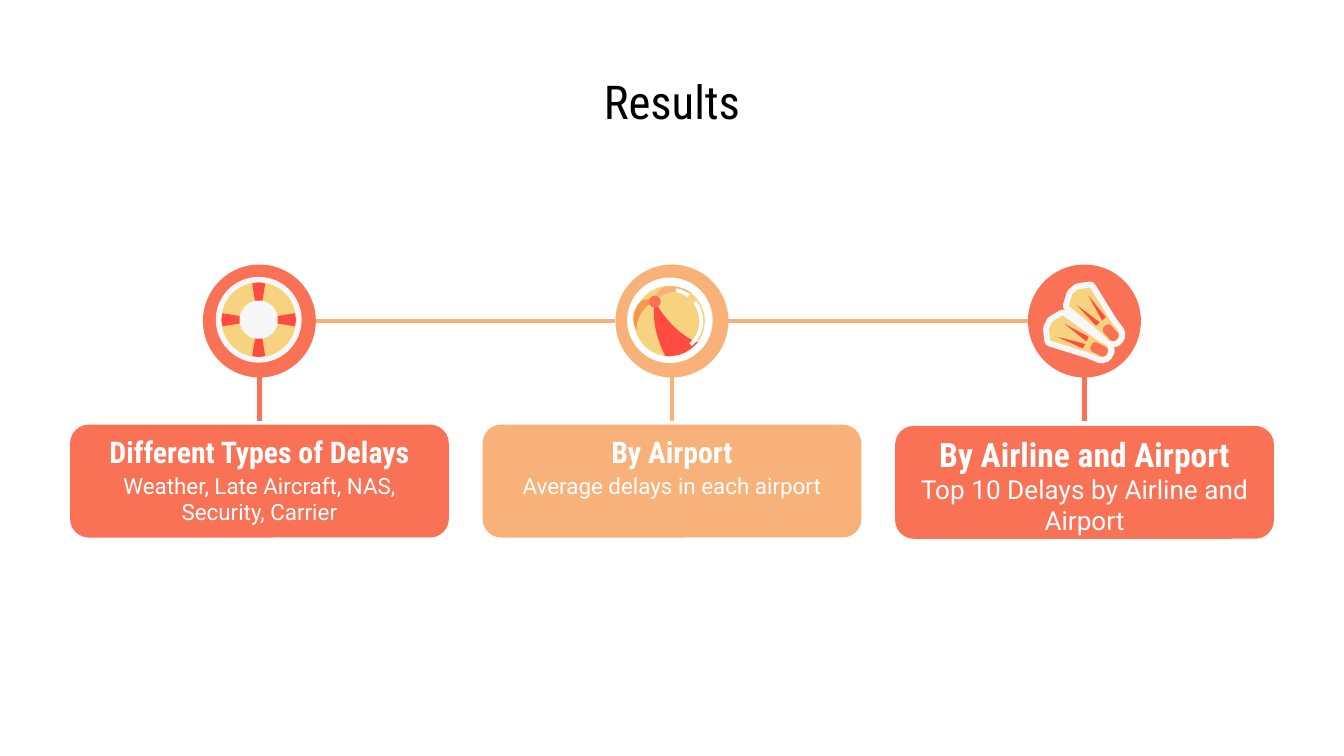
from math import cos, radians, sin
from typing import NamedTuple

from lxml.etree import SubElement
from pptx import Presentation
from pptx.dml.color import RGBColor
from pptx.enum.shapes import MSO_CONNECTOR as Connector, MSO_SHAPE as Preset
from pptx.enum.text import MSO_ANCHOR as Anchor, PP_ALIGN as Align
from pptx.oxml.ns import qn
from pptx.util import Pt

CORAL = RGBColor(0xFA, 0x72, 0x56)
PEACH = RGBColor(0xF8, 0xB1, 0x79)
RED = RGBColor(0xFF, 0x4B, 0x41)
ORANGE = RGBColor(0xF8, 0x96, 0x49)
YELLOW = RGBColor(0xF7, 0xD3, 0x80)
PALE = RGBColor(0xF7, 0xF7, 0xF8)
WHITE = RGBColor(0xFF, 0xFF, 0xFF)
BLACK = RGBColor(0, 0, 0)

HEAD_FONT, BODY_FONT = "Roboto Condensed", "Roboto"
FIRST_X, STEP_X, AXIS_Y, BADGE_R = 139, 221, 172, 30.25
CARD_W, CARD_H, CARD_TOP, TEXT_W, TEXT_TOP = 203, 60.5, 227.5, 193.7, 225.4
CURVE_STEPS = 8


class Topic(NamedTuple):
    heading: str
    detail: str
    color: RGBColor
    heading_size: float = 16
    detail_size: float = 12
    drop: float = 0


class Panel(NamedTuple):
    color: RGBColor
    curves: list[tuple]


TOPICS = [
    Topic("Different Types of Delays", "Weather, Late Aircraft, NAS, Security, Carrier", CORAL),
    Topic("By Airport", "Average delays in each airport", PEACH),
    Topic("By Airline and Airport", "Top 10 Delays by Airline and Airport", CORAL, 18, 14, 0.7),
]

RING_BAND = [(10.2, 2), (19.4, 3.5), (20, 0)]
FIN_BLADE = [(-32, 2), (-28.5, 7.5), (-7, 4), (0, 3.5), (2, 1.5)]
FIN_RIB = [(-26, 4), (-11, 3.5), (-11, 0.8)]
FIN_HEELS = [(16, 8.5, 49), (10.5, 16.5, 26.5)]
KNOB = (-9.2, -10.4)
BALL_PANELS = [
    Panel(ORANGE, [(-12, -12, -15, -12, -17, -10), (-21, -6, -22, 0, -19, 5),
                   (-19, -1, -16, -8, *KNOB)]),
    Panel(PEACH, [(-6, -15, 2, -17, 10.8, -15), (3, -20, -9, -21, *KNOB)]),
    Panel(RED, [(-11, -1, -8, 10, -3.6, 18.7), (4, 19.5, 10, 16, 13.7, 11.5),
                (0, 6.5, *KNOB, *KNOB)]),
]
GLINT_ANGLES = [(282, 307), (323, 48)]


def paint(shape, color: RGBColor, edge: float = 0) -> None:
    shape.shadow.inherit = False
    shape.fill.solid()
    shape.fill.fore_color.rgb = color
    if edge:
        shape.line.color.rgb = color
        shape.line.width = Pt(edge)
    else:
        shape.line.fill.background()


def add_preset(slide, preset, x: float, y: float, width: float, height: float):
    return slide.shapes.add_shape(preset, Pt(x - width / 2), Pt(y - height / 2),
                                  Pt(width), Pt(height))


def draw_disc(slide, x: float, y: float, radius: float, color: RGBColor) -> None:
    paint(add_preset(slide, Preset.OVAL, x, y, 2 * radius, 2 * radius), color)


def draw_line(slide, x1: float, y1: float, x2: float, y2: float, color: RGBColor) -> None:
    line = slide.shapes.add_connector(Connector.STRAIGHT, Pt(x1), Pt(y1), Pt(x2), Pt(y2))
    line.line.color.rgb = color
    line.line.width = Pt(2.25)
    SubElement(line._element.spPr, qn("a:effectLst"))


def draw_text(slide, text: str, x: float, top: float, width: float, height: float,
              size: float, font: str, color: RGBColor, bold: bool = False,
              anchor=Anchor.TOP) -> None:
    box = slide.shapes.add_textbox(Pt(x - width / 2), Pt(top), Pt(width), Pt(height))
    frame = box.text_frame
    frame.word_wrap = True
    frame.vertical_anchor = anchor
    frame.margin_left = frame.margin_right = frame.margin_top = frame.margin_bottom = Pt(7.2)
    frame.paragraphs[0].alignment = Align.CENTER
    run = frame.paragraphs[0].add_run()
    run.text = text
    run.font.size, run.font.name, run.font.bold = Pt(size), font, bold
    run.font.color.rgb = color


def draw_polygon(slide, x: float, y: float, points: list[tuple], color: RGBColor,
                 angle: float = 0, edge: float = 0) -> None:
    c, s = cos(radians(angle)), sin(radians(angle))
    start, *rest = [(Pt(x + c * u - s * v), Pt(y + s * u + c * v)) for u, v in points]
    builder = slide.shapes.build_freeform(*start)
    builder.add_line_segments(rest, close=True)
    paint(builder.convert_to_shape(), color, edge)


def mirror(profile: list[tuple]) -> list[tuple]:
    return profile + [(u, -v) for u, v in reversed(profile)]


def trace(curves: list[tuple]) -> list[tuple]:
    points = [KNOB]
    for curve in curves:
        knots = [points[-1], curve[:2], curve[2:4], curve[4:]]
        for step in range(1, CURVE_STEPS + 1):
            t = step / CURVE_STEPS
            weights = ((1 - t) ** 3, 3 * t * (1 - t) ** 2, 3 * t * t * (1 - t), t ** 3)
            points.append(tuple(sum(w * k[axis] for w, k in zip(weights, knots))
                                for axis in (0, 1)))
    return points


def draw_life_ring(slide, x: float, y: float) -> None:
    x, y = x - 0.4, y - 0.7
    draw_disc(slide, x, y, 23, PALE)
    ring = add_preset(slide, Preset.DONUT, x, y, 40, 40)
    ring.adjustments[0] = 0.24
    paint(ring, YELLOW)
    for angle in range(0, 360, 90):
        draw_polygon(slide, x, y, mirror(RING_BAND), RED, angle)


def draw_beach_ball(slide, x: float, y: float) -> None:
    draw_disc(slide, x - 1.1, y - 0.4, 22.9, WHITE)
    draw_disc(slide, x - 1.3, y, 18.9, YELLOW)
    for panel in BALL_PANELS:
        draw_polygon(slide, x, y, trace(panel.curves), panel.color)
    draw_disc(slide, x + KNOB[0], y + KNOB[1], 3.2, CORAL)
    for angles in GLINT_ANGLES:
        glint = add_preset(slide, Preset.ARC, x - 1.3, y, 34, 34)
        for i, angle in enumerate(angles):
            glint.adjustments[i] = angle * 0.6
        paint(glint, WHITE, 2)
        glint.fill.background()


def draw_fins(slide, x: float, y: float) -> None:
    for dx, dy, angle in FIN_HEELS:
        draw_polygon(slide, x + dx, y + dy, mirror(FIN_BLADE), PALE, angle, 6.4)
    for dx, dy, angle in FIN_HEELS:
        heel_x, heel_y = x + dx, y + dy
        draw_polygon(slide, heel_x, heel_y, mirror(FIN_BLADE), YELLOW, angle)
        for side in (-1, 1):
            draw_polygon(slide, heel_x, heel_y, [(u, side * v) for u, v in FIN_RIB], RED, angle)
        pocket = add_preset(slide, Preset.ROUNDED_RECTANGLE, heel_x - 3 * cos(radians(angle)),
                            heel_y - 3 * sin(radians(angle)), 9.5, 5.5)
        pocket.adjustments[0] = 0.4
        pocket.rotation = angle
        paint(pocket, CORAL)


def draw_topic(slide, x: float, topic: Topic) -> None:
    draw_disc(slide, x, AXIS_Y, BADGE_R, topic.color)
    card = add_preset(slide, Preset.ROUNDED_RECTANGLE, x, CARD_TOP + topic.drop + CARD_H / 2,
                      CARD_W, CARD_H)
    card.adjustments[0] = 0.167
    paint(card, topic.color)
    draw_text(slide, topic.heading, x, TEXT_TOP, TEXT_W, 21.6,
              topic.heading_size, HEAD_FONT, WHITE, bold=True)
    draw_text(slide, topic.detail, x, 245.5 + topic.drop, TEXT_W, 35.3,
              topic.detail_size, BODY_FONT, WHITE)
    draw_line(slide, x, AXIS_Y + BADGE_R, x, TEXT_TOP, topic.color)


def main() -> None:
    deck = Presentation()
    deck.slide_width, deck.slide_height = Pt(720), Pt(405)
    slide = deck.slides.add_slide(deck.slide_layouts[6])
    draw_text(slide, "Results", 360, 35.3, 648, 41, 25, HEAD_FONT, BLACK, anchor=Anchor.BOTTOM)
    centers = [FIRST_X + STEP_X * i for i in range(len(TOPICS))]
    for x, topic in zip(centers, TOPICS):
        draw_topic(slide, x, topic)
    for x, following in zip(centers, centers[1:]):
        draw_line(slide, x + BADGE_R, AXIS_Y, following - BADGE_R, AXIS_Y, PEACH)
    for x, draw_icon in zip(centers, (draw_life_ring, draw_beach_ball, draw_fins)):
        draw_icon(slide, x, AXIS_Y)
    deck.save("out.pptx")


if __name__ == "__main__":
    main()
